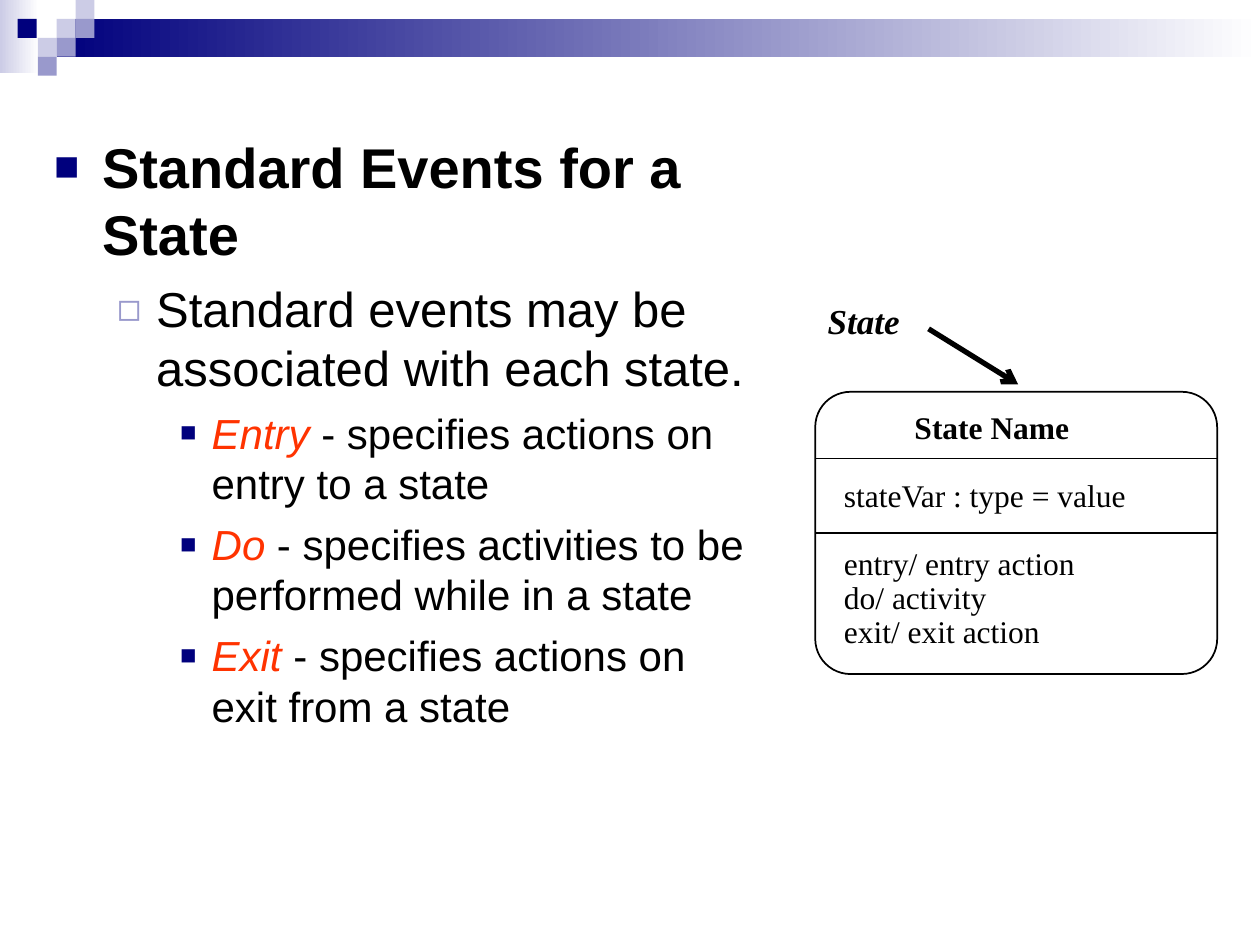
from dataclasses import dataclass

from lxml import etree
from pptx import Presentation
from pptx.dml.color import RGBColor
from pptx.enum.shapes import MSO_CONNECTOR, MSO_SHAPE
from pptx.enum.text import MSO_ANCHOR, MSO_AUTO_SIZE, PP_ALIGN
from pptx.oxml.ns import qn
from pptx.shapes.autoshape import Shape
from pptx.shapes.connector import Connector
from pptx.slide import Slide
from pptx.util import Inches, Pt

STRAIGHT = MSO_CONNECTOR.STRAIGHT
RECTANGLE = MSO_SHAPE.RECTANGLE
ROUNDED_RECTANGLE = MSO_SHAPE.ROUNDED_RECTANGLE
TOP = MSO_ANCHOR.TOP
NO_AUTOFIT = MSO_AUTO_SIZE.NONE
LEFT = PP_ALIGN.LEFT


@dataclass(frozen=True)
class Theme:
    navy: str = "00007D"
    lavender: str = "9999CC"
    pale: str = "CCCCE6"
    white: str = "FFFFFF"
    black: str = "000000"
    accent: str = "FF3300"
    body_font: str = "Arial"
    diagram_font: str = "Times New Roman"
    diagram_size: float = 18
    label_size: float = 20


@dataclass(frozen=True)
class Level:
    margin: float
    hanging: float
    space_before: float
    size: float
    bullet: str
    bullet_color: str
    bullet_percent: int
    bold: bool = False


@dataclass(frozen=True)
class Item:
    level: int
    text: str
    term: str = ""


@dataclass(frozen=True)
class Block:
    left: float
    top: float
    width: float
    height: float
    color: str
    fade_to: str = ""


@dataclass(frozen=True)
class DiagramLine:
    text: str
    bold: bool = False
    italic: bool = False
    indent: float = 0
    space_before: float = 0


THEME = Theme()
LEVELS = (
    Level(0.38, 0.38, 8, 32, "■", THEME.navy, 75, True),
    Level(0.81, 0.31, 7, 28, "◻", THEME.lavender, 80),
    Level(1.25, 0.25, 6, 24, "■", THEME.navy, 65),
)
ITEMS = (
    Item(0, "Standard Events for a State"),
    Item(1, "Standard events may be associated with each state."),
    Item(2, "- specifies actions on entry to a state", "Entry "),
    Item(2, " - specifies activities to be performed while in a state", "Do"),
    Item(2, "- specifies actions on exit from a state", "Exit "),
)
TILE = 0.15
BLOCKS = (
    Block(0, 0, 0.31, 0.58, THEME.pale, THEME.white),
    Block(0.45, TILE, 9.55, 2 * TILE, THEME.navy, THEME.white),
    *(
        Block(left, row * TILE, TILE, TILE, color)
        for left, row, color in (
            (0.45, 1, THEME.pale),
            (0.6, 0, THEME.pale),
            (0.6, 1, THEME.lavender),
            (0.3, 2, THEME.pale),
            (0.14, 1, THEME.navy),
            (0.45, 2, THEME.lavender),
            (0.3, 3, THEME.lavender),
        )
    ),
)
SECTION_GAP = 19.4
STATE_LINES = (
    DiagramLine("State Name", bold=True, indent=0.56),
    DiagramLine("stateVar : type = value", space_before=SECTION_GAP),
    DiagramLine("entry/ entry action", space_before=SECTION_GAP),
    DiagramLine("do/ activity"),
    DiagramLine("exit/ exit action"),
)


def rgb(color: str) -> RGBColor:
    return RGBColor.from_string(color)


def draw_block(slide: Slide, block: Block) -> None:
    shape = slide.shapes.add_shape(
        RECTANGLE, Inches(block.left), Inches(block.top), Inches(block.width), Inches(block.height)
    )
    shape.shadow.inherit = False
    shape.line.fill.background()
    if block.fade_to:
        shape.fill.gradient()
        shape.fill.gradient_angle = 0
        stops = shape.fill.gradient_stops
        for stop, color, position in zip(stops, (block.color, block.fade_to), (0, 1)):
            stop.color.rgb = rgb(color)
            stop.position = position
    else:
        shape.fill.solid()
        shape.fill.fore_color.rgb = rgb(block.color)


def add_bullet(properties: etree._Element, level: Level) -> None:
    properties.set("marL", str(Inches(level.margin)))
    properties.set("indent", str(-Inches(level.hanging)))
    color = etree.SubElement(properties, qn("a:buClr"))
    etree.SubElement(color, qn("a:srgbClr"), val=level.bullet_color)
    etree.SubElement(properties, qn("a:buSzPct"), val=str(level.bullet_percent * 1000))
    etree.SubElement(properties, qn("a:buFont"), typeface=THEME.body_font)
    etree.SubElement(properties, qn("a:buChar"), char=level.bullet)


def fill_body(body: Shape) -> None:
    body.left, body.top = Inches(0.33), Inches(1)
    body.width, body.height = Inches(5.75), Inches(6.42)
    frame = body.text_frame
    frame.auto_size = NO_AUTOFIT
    frame.vertical_anchor = TOP
    for index, item in enumerate(ITEMS):
        level = LEVELS[item.level]
        paragraph = frame.add_paragraph() if index else frame.paragraphs[0]
        paragraph.level = item.level
        add_bullet(paragraph._p.get_or_add_pPr(), level)
        paragraph.alignment = LEFT
        paragraph.space_before = Pt(level.space_before if index else 0)
        for text, is_term in ((item.term, True), (item.text, False)):
            if text:
                run = paragraph.add_run()
                run.text = text
                run.font.name = THEME.body_font
                run.font.size = Pt(level.size)
                run.font.bold = level.bold
                run.font.italic = is_term
                run.font.color.rgb = rgb(THEME.accent if is_term else THEME.black)


def draw_text(
    slide: Slide, left: float, top: float, width: float, height: float,
    lines: tuple[DiagramLine, ...], size: float, line_spacing: float,
) -> None:
    box = slide.shapes.add_textbox(Inches(left), Inches(top), Inches(width), Inches(height))
    frame = box.text_frame
    frame.word_wrap = False
    frame.text = "\n".join(line.text for line in lines)
    for paragraph, line in zip(frame.paragraphs, lines):
        paragraph.alignment = LEFT
        paragraph.line_spacing = line_spacing
        paragraph.space_before = Pt(line.space_before)
        paragraph._p.get_or_add_pPr().set("marL", str(Inches(line.indent)))
        font = paragraph.runs[0].font
        font.name = THEME.diagram_font
        font.size = Pt(size)
        font.bold = line.bold
        font.italic = line.italic
        font.color.rgb = rgb(THEME.black)


def draw_line(
    slide: Slide, start: tuple[float, float], end: tuple[float, float], width: float = 1
) -> Connector:
    connector = slide.shapes.add_connector(STRAIGHT, *map(Inches, start + end))
    connector.line.color.rgb = rgb(THEME.black)
    connector.line.width = Pt(width)
    etree.SubElement(connector._element.spPr, qn("a:effectLst"))
    return connector


def draw_state(slide: Slide) -> None:
    state = slide.shapes.add_shape(
        ROUNDED_RECTANGLE, Inches(6.47), Inches(3.11), Inches(3.19), Inches(2.24)
    )
    state.adjustments[0] = 0.125
    state.shadow.inherit = False
    state.fill.background()
    state.line.color.rgb = rgb(THEME.black)
    state.line.width = Pt(1)
    draw_text(slide, 6.6, 3.22, 2.47, 2.26, STATE_LINES, THEME.diagram_size, 0.9)
    draw_line(slide, (6.47, 3.64), (9.66, 3.64))
    middle_divider = draw_line(slide, (6.47, 4.23), (9.66, 4.23))
    middle_divider.begin_connect(state, 1)
    middle_divider.end_connect(state, 3)
    arrow = draw_line(slide, (7.37, 2.61), (8.08, 3.05), 3)
    etree.SubElement(arrow.line._get_or_add_ln(), qn("a:tailEnd"), type="arrow")
    label = (DiagramLine("State", bold=True, italic=True),)
    draw_text(slide, 6.47, 2.33, 0.77, 0.44, label, THEME.label_size, 1.0)


def main() -> None:
    presentation = Presentation()
    presentation.slide_width, presentation.slide_height = Inches(10), Inches(7.5)
    slide = presentation.slides.add_slide(presentation.slide_layouts[1])
    title = slide.shapes.title._element
    title.getparent().remove(title)
    for block in BLOCKS:
        draw_block(slide, block)
    fill_body(slide.placeholders[1])
    draw_state(slide)
    presentation.save("out.pptx")


if __name__ == "__main__":
    main()
